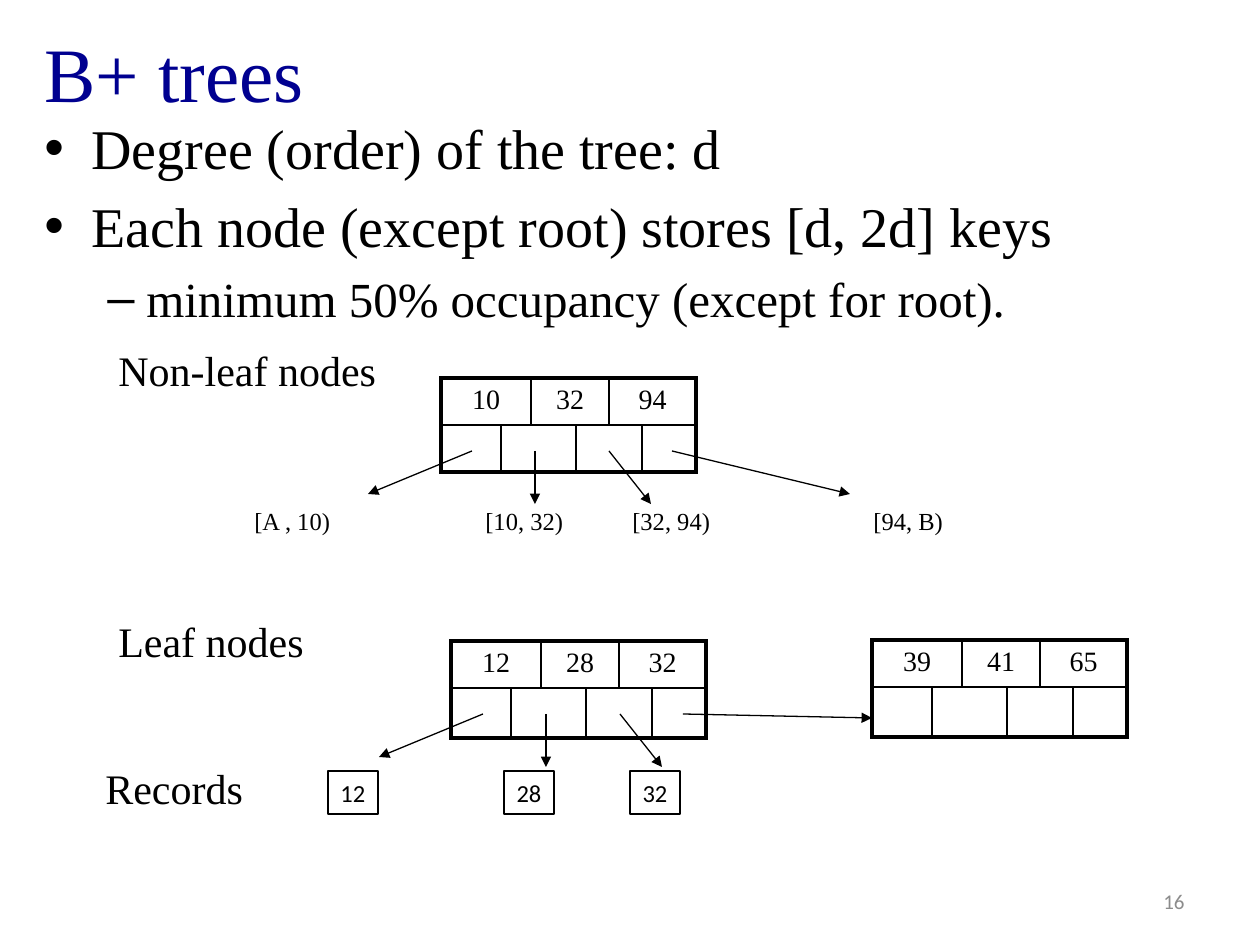
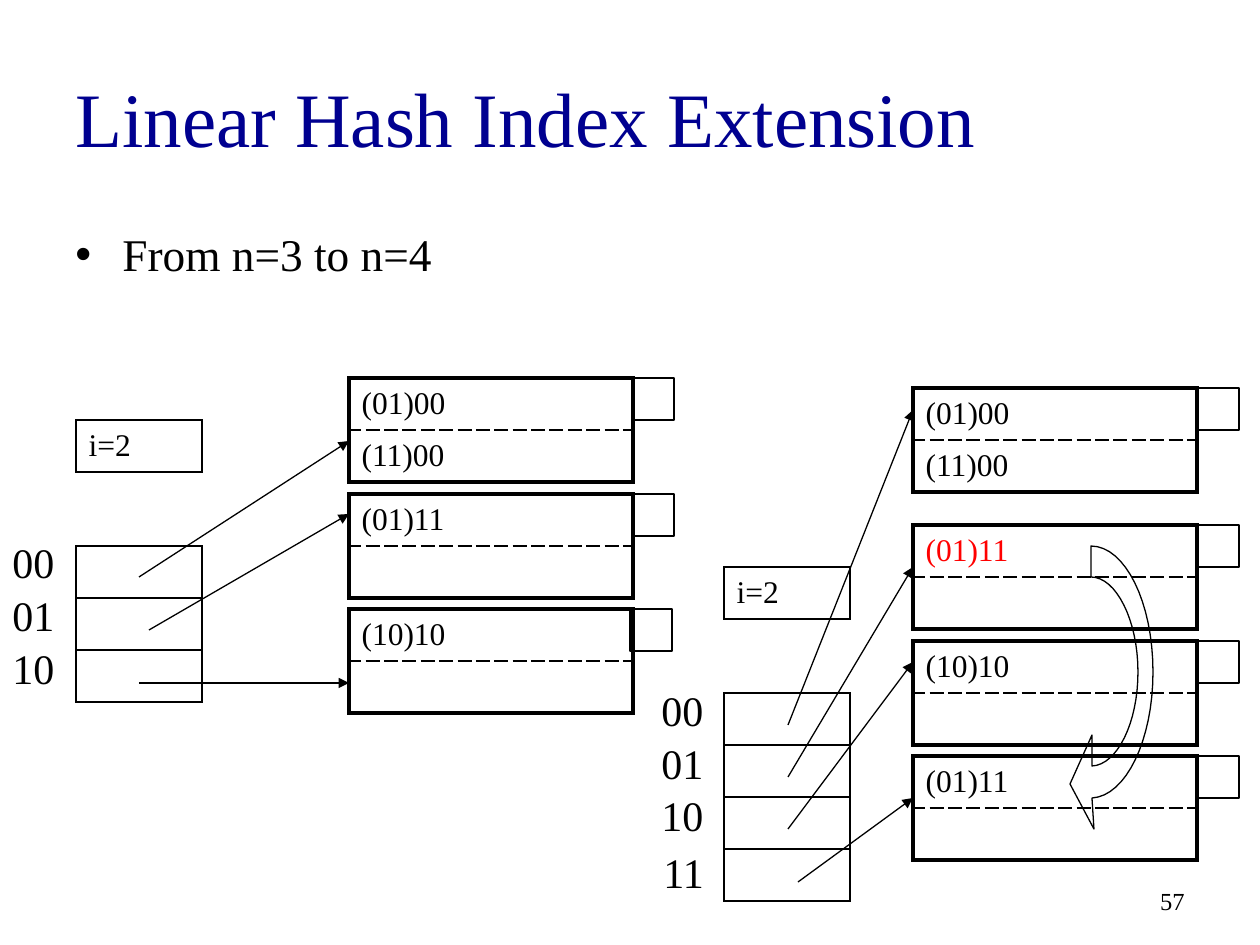
"""Build two slides on B+ tree nodes and linear hash index extension."""
from lxml.etree import SubElement
from pptx import Presentation
from pptx.dml.color import RGBColor
from pptx.enum.shapes import MSO_CONNECTOR, MSO_SHAPE
from pptx.enum.text import MSO_ANCHOR, PP_ALIGN
from pptx.oxml import parse_xml
from pptx.oxml.ns import nsdecls, qn
from pptx.util import Emu, Pt

PIXELS_PER_INCH = 126
BLACK, GREY, NAVY, RED = "000000", "8C8C8C", "000090", "FF0000"
SERIF, SANS = "Times New Roman", "Calibri"
MIDDLE = {"vertical_anchor": MSO_ANCHOR.MIDDLE, "word_wrap": True}
WRAPPED, UNWRAPPED = {"word_wrap": True}, {"word_wrap": False}
CENTER, RIGHT = {"alignment": PP_ALIGN.CENTER}, {"alignment": PP_ALIGN.RIGHT}

STYLES = {
    "title": (MIDDLE, {}, {"size": Pt(44), "name": SERIF}, NAVY),
    "point": (WRAPPED, {}, {"size": Pt(32), "name": SERIF}, BLACK),
    "subpoint": (WRAPPED, {}, {"size": Pt(28), "name": SERIF}, BLACK),
    "small point": (WRAPPED, {}, {"size": Pt(25.9), "name": SERIF}, BLACK),
    "label": (UNWRAPPED, {}, {"size": Pt(24), "name": SERIF}, BLACK),
    "range": (UNWRAPPED, {}, {"size": Pt(14), "name": SERIF}, BLACK),
    "record": ({**MIDDLE, "word_wrap": False}, CENTER, {"size": Pt(14), "name": SANS}, BLACK),
    "key": (WRAPPED, CENTER, {"size": Pt(16), "name": SERIF}, BLACK),
    "entry": (WRAPPED, {}, {"size": Pt(18), "name": SERIF}, BLACK),
    "moved entry": (WRAPPED, {}, {"size": Pt(18), "name": SERIF}, RED),
    "grey number": (MIDDLE, RIGHT, {"size": Pt(12), "name": SANS}, GREY),
    "black number": (MIDDLE, RIGHT, {"size": Pt(14), "name": SERIF}, BLACK),
}
BULLETS = {"point": ("•", 47, 47), "small point": ("•", 47, 47), "subpoint": ("–", 102, 39)}
SPACED = {*BULLETS, "key", "entry", "moved entry"}


def px(*lengths):
    """Turn pixel lengths into a list of EMU lengths."""
    return [Emu(round(length * 914400 / PIXELS_PER_INCH)) for length in lengths]


def write_text(frame, *lines):
    """Write (text, style name) lines as the paragraphs of a text frame."""
    for index, (text, style) in enumerate(lines):
        paragraph = frame.add_paragraph() if index else frame.paragraphs[0]
        run = paragraph.add_run()
        run.text = text
        *formats, color = STYLES[style]
        for target, values in zip((frame, paragraph, run.font), formats):
            for name, value in values.items():
                setattr(target, name, value)
        run.font.color.rgb = RGBColor.from_string(color)
        properties = paragraph._p.get_or_add_pPr()
        if style in SPACED:
            before = SubElement(properties, qn("a:spcBef"))
            SubElement(before, qn("a:spcPct"), val="20000")
        if style in BULLETS:
            character, margin, hanging = BULLETS[style]
            for name, length in zip(("marL", "indent"), px(margin, -hanging)):
                properties.set(name, str(length))
            SubElement(properties, qn("a:buFont"), typeface="Arial")
            SubElement(properties, qn("a:buChar"), char=character)


presentation = Presentation()
presentation.slide_width, presentation.slide_height = px(1260, 945)
tree, hashing = [presentation.slides.add_slide(presentation.slide_layouts[6]) for _ in range(2)]

texts = [
    (tree, (32, 6, 1203, 131), [("B+ trees", "title")]),
    (tree, (32, 107, 1203, 240), [
        ("Degree (order) of the tree: d", "point"),
        ("Each node (except root) stores [d, 2d] keys", "point"),
        ("minimum 50% occupancy (except for root).", "subpoint"),
    ]),
    (tree, (903, 876, 294, 50), [("16", "grey number")]),
    (hashing, (63, 38, 1134, 158), [("Linear Hash Index Extension", "title")]),
    (hashing, (63, 220, 1134, 90), [("From n=3 to n=4", "small point")]),
    (hashing, (903, 876, 294, 50), [("57", "black number")]),
]
for text, left, top in [("Non-leaf nodes", 106, 338), ("Leaf nodes", 106, 609), ("Records", 93, 756)]:
    texts.append((tree, (left, top, 300, 63), [(text, "label")]))
for text, left in [("[A , 10)", 242), ("[10, 32)", 473), ("[32, 94)", 620), ("[94, B)", 861)]:
    texts.append((tree, (left, 500, 103, 43), [(text, "range")]))

NODE_COLUMNS = (60, 27, 45, 33, 33, 54)
NODE_MERGES = [(0, 0, 1), (0, 2, 3), (0, 4, 5), (1, 1, 2), (1, 3, 4)]
tables = []
for left, top, pointer_height, keys in [
    (441, 378, 47, ("10", "32", "94")),
    (451, 641, 50, ("12", "28", "32")),
    (872, 640, 50, ("39", "41", "65")),
]:
    texts_by_cell = {(0, 2 * index): (key, "key") for index, key in enumerate(keys)}
    tables.append((tree, left, top, NODE_COLUMNS, (47, pointer_height), texts_by_cell, "node"))

boxes = [(tree, left, 771, 50, 43, text) for left, text in [(328, "12"), (504, "28"), (630, "32")]]
for left, top, corner, first, second, style in [
    (349, 378, 632, "(01)00", "(11)00", "entry"),
    (349, 494, 632, "(01)11", "", "entry"),
    (349, 609, 630, "(10)10", "", "entry"),
    (913, 388, 1197, "(01)00", "(11)00", "entry"),
    (913, 525, 1197, "(01)11", "", "moved entry"),
    (913, 641, 1197, "(10)10", "", "entry"),
    (913, 756, 1197, "(01)11", "", "entry"),
]:
    texts_by_cell = {(0, 0): (first, style)}
    if second:
        texts_by_cell[1, 0] = (second, style)
    tables.append((hashing, left, top, (284,), (52, 52), texts_by_cell, "bucket"))
    boxes.append((hashing, corner, top, 42, 42, ""))

for left, top, slots in [
    (76, 546, [("00", -76, -16), ("01", -76, 37), ("10", -76, 90)]),
    (724, 693, [("00", -75, -15), ("01", -75, 38), ("10", -75, 90), ("11", -73, 147)]),
]:
    tables.append((hashing, left, top - 126, (126,), (52,), {(0, 0): ("i=2", "entry")}, "directory"))
    tables.append((hashing, left, top, (126,), (52,) * len(slots), {}, "directory"))
    for text, across, down in slots:
        texts.append((hashing, (left + across, top + down, 67, 63), [(text, "label")]))

for slide, bounds, lines in texts:
    write_text(slide.shapes.add_textbox(*px(*bounds)).text_frame, *lines)

for slide, left, top, widths, heights, texts_by_cell, kind in tables:
    bounds = px(left, top, sum(widths), sum(heights))
    table = slide.shapes.add_table(len(heights), len(widths), *bounds).table
    table.first_row = table.horz_banding = False
    for column, width in zip(table.columns, px(*widths)):
        column.width = width
    for row, height in zip(table.rows, px(*heights)):
        row.height = height
    if kind == "node":
        for row, first, last in NODE_MERGES:
            table.cell(row, first).merge(table.cell(row, last))
    for row in range(len(heights)):
        for column in range(len(widths)):
            cell = table.cell(row, column)
            cell.fill.background()
            if cell.is_spanned:
                continue
            if (row, column) in texts_by_cell:
                write_text(cell.text_frame, texts_by_cell[row, column])
            else:
                cell.margin_top = cell.margin_bottom = 0
            if kind != "node":
                cell.vertical_anchor = MSO_ANCHOR.MIDDLE
            outer_sides = {
                "L": column == 0,
                "R": column + cell.span_width == len(widths),
                "T": row == 0,
                "B": row == len(heights) - 1,
            }
            for index, (side, outer) in enumerate(outer_sides.items()):
                width = Pt(2.25) if outer and kind != "directory" else Pt(1)
                dash = "lgDash" if kind == "bucket" and not outer else "solid"
                border = parse_xml(
                    f'<a:ln{side} {nsdecls("a")} w="{width}"><a:solidFill><a:srgbClr val="{BLACK}"/>'
                    f'</a:solidFill><a:prstDash val="{dash}"/></a:ln{side}>'
                )
                cell._tc.get_or_add_tcPr().insert(index, border)

outlines = []
for slide, left, top, width, height, text in boxes:
    box = slide.shapes.add_shape(MSO_SHAPE.RECTANGLE, *px(left, top, width, height))
    if text:
        write_text(box.text_frame, (text, "record"))
    outlines.append(box)

move_arrow = [
    [(1092, 766), (1117, 765), (1138, 723), (1138, 672)],
    [(1138, 672), (1138, 620), (1116, 577), (1091, 577)],
    [(1091, 546), (1125, 546), (1153, 602), (1153, 672)],
    [(1153, 672), (1153, 740), (1126, 796), (1092, 798)],
]
points = []
for curve in move_arrow:
    for step in range(17):
        t = step / 16
        weights = ((1 - t) ** 3, 3 * t * (1 - t) ** 2, 3 * t * t * (1 - t), t ** 3)
        points.append(px(*(sum(w * value for w, value in zip(weights, axis)) for axis in zip(*curve))))
points += [px(*corner) for corner in [(1094, 829), (1070, 784), (1092, 735)]]
builder = hashing.shapes.build_freeform(*points[0])
builder.add_line_segments(points[1:], close=True)
outlines.append(builder.convert_to_shape())

for shape in outlines:
    shape.shadow.inherit = False
    shape.fill.background()
    shape.line.color.rgb = RGBColor.from_string(BLACK)
    shape.line.width = Pt(0.75)

arrows = [
    (tree, 672, 451, 850, 494), (tree, 683, 714, 872, 718),
    (hashing, 139, 577, 349, 441), (hashing, 149, 630, 349, 514), (hashing, 139, 683, 349, 683),
    (hashing, 788, 725, 913, 410), (hashing, 788, 777, 913, 567),
    (hashing, 788, 829, 913, 662), (hashing, 798, 882, 913, 798),
]
for across, down in [(0, 0), (11, 263)]:
    for start, end, end_top in [(472, 368, 494), (535, 535, 504), (609, 651, 504)]:
        arrows.append((tree, start + across, 451 + down, end + across, end_top + down))

for slide, *ends in arrows:
    arrow = slide.shapes.add_connector(MSO_CONNECTOR.STRAIGHT, *px(*ends))
    arrow.line.color.rgb = RGBColor.from_string(BLACK)
    arrow.line.width = Pt(0.75)
    properties = arrow.element.spPr
    SubElement(properties.find(qn("a:ln")), qn("a:tailEnd"), type="triangle")
    SubElement(properties, qn("a:effectLst"))

presentation.save("out.pptx")
